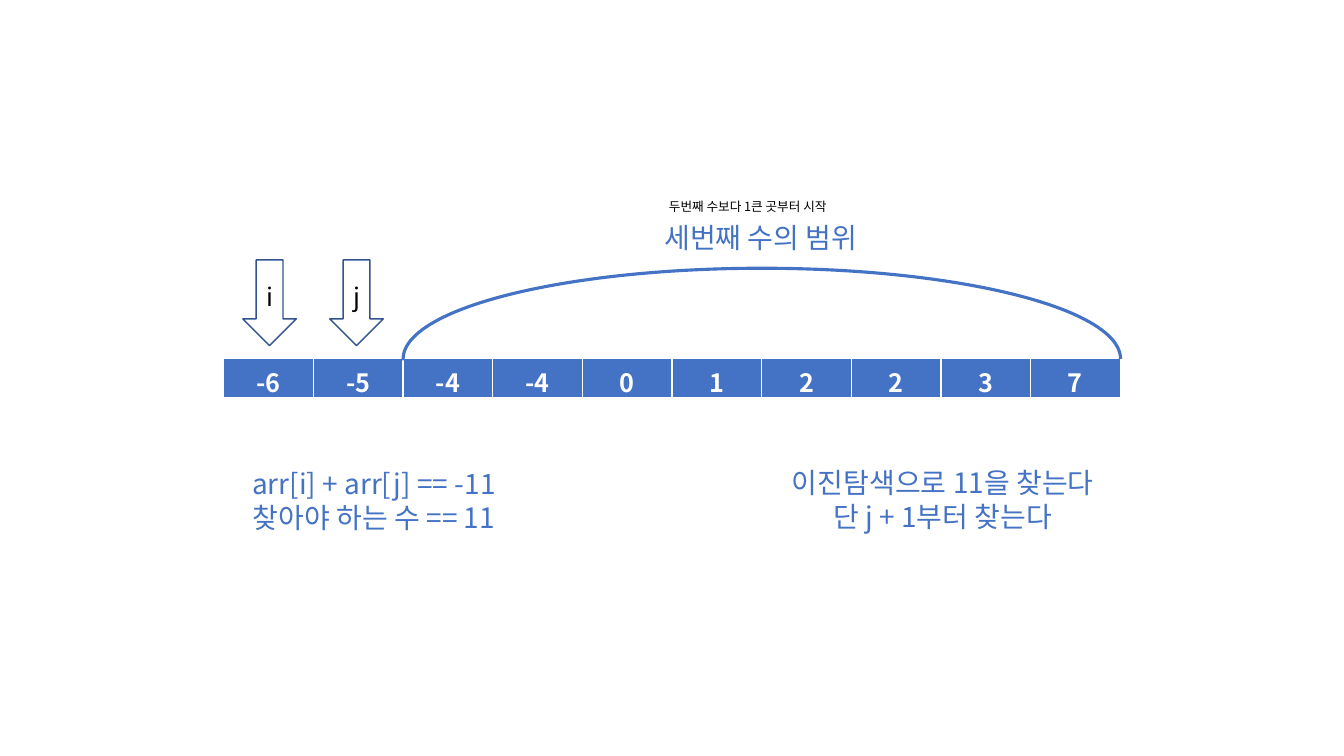
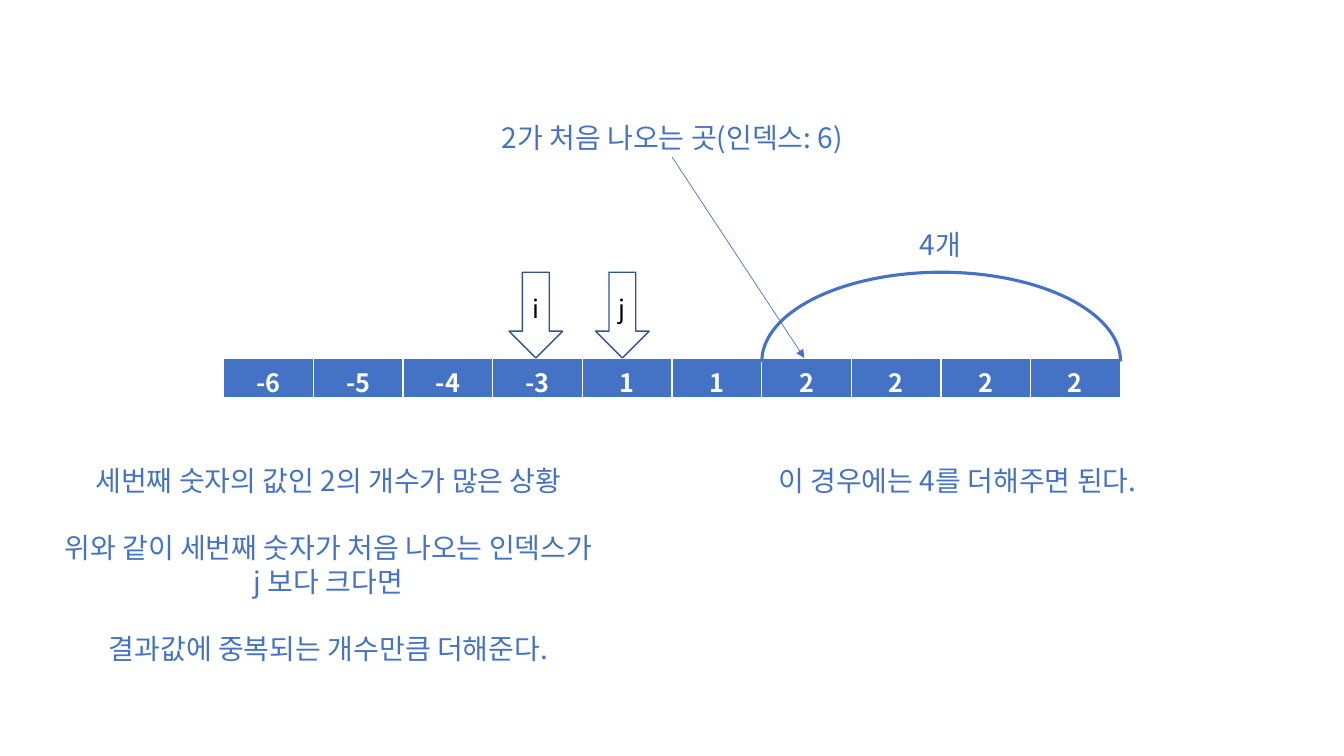
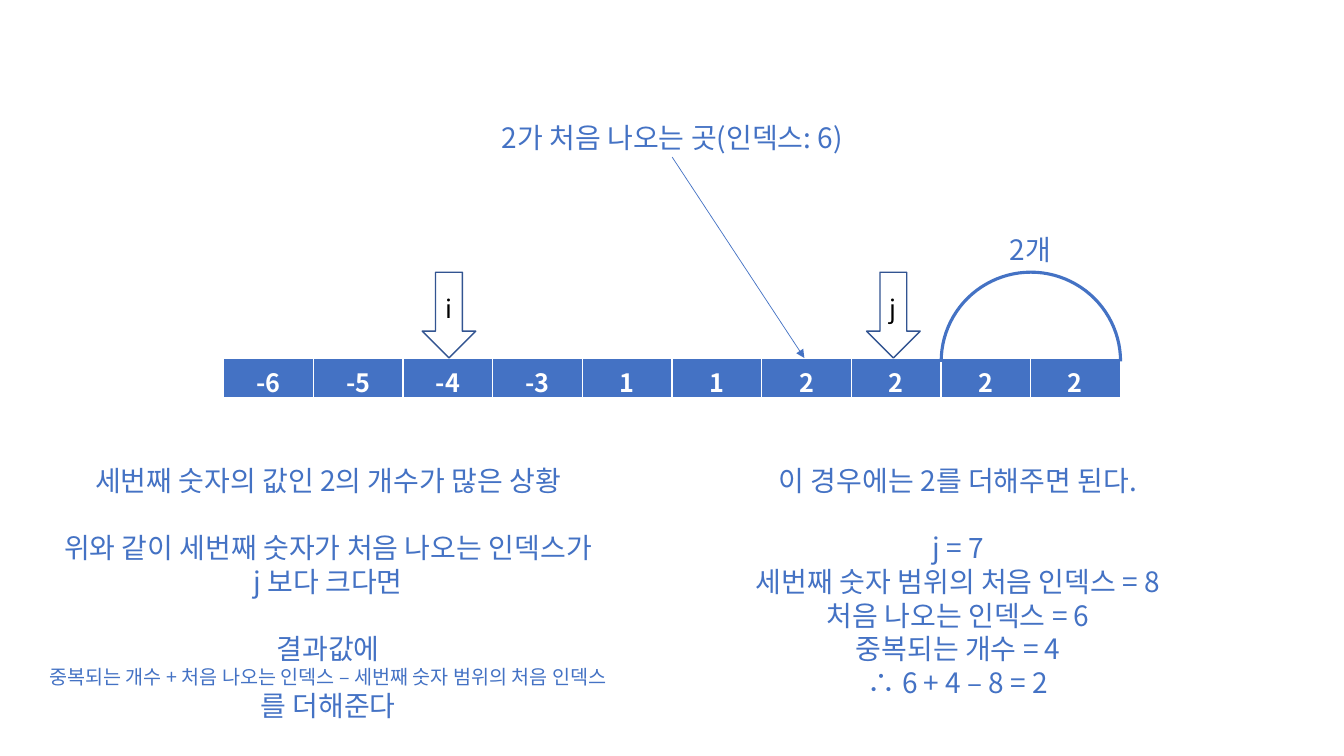
import pptx
import pptx.util
import pptx.dml.color
import pptx.enum.shapes
import pptx.enum.text
import pptx.oxml
import pptx.oxml.ns

Cm, Pt = pptx.util.Cm, pptx.util.Pt
KINDS = pptx.enum.shapes.MSO_SHAPE
CENTER = pptx.enum.text.PP_ALIGN.CENTER

# Shared look, lengths in cm
FONT = "Noto Sans CJK KR"
BLUE, NAVY, WHITE, BLACK = "4472C4", "325491", "FFFFFF", "000000"
LEFT, TOP, CELL, ROW = 5.64, 9.02, 2.26, 1.03
COUNT = 10
RIGHT = LEFT + COUNT * CELL
LOW = 11.56
BODY = {"size": Pt(20), "bold": False}
MARK = {"size": Pt(18), "bold": False}
HEAD = {"size": Pt(18), "bold": True}
NOTE = {"size": Pt(9), "bold": False}
FRAME = {
    "word_wrap": True,
    "auto_size": pptx.enum.text.MSO_AUTO_SIZE.SHAPE_TO_FIT_TEXT,
    "vertical_anchor": pptx.enum.text.MSO_ANCHOR.TOP,
}


def apply(item, style):
    for name, value in style.items():
        setattr(item, name, value)


def color(text):
    return pptx.dml.color.RGBColor.from_string(text)


def add_xml(parent, tag, **attrs):
    node = parent.makeelement(pptx.oxml.ns.qn(tag), attrs)
    parent.append(node)
    return node


def write(para, text, style, ink, align=CENTER):
    para.alignment = align
    run = para.add_run()
    run.text = text
    apply(run.font, {"name": FONT, **style})
    run.font.color.rgb = color(ink)
    add_xml(run.font._element, "a:ea", typeface=FONT)


def place(shape, box):
    apply(shape, dict(zip(("left", "top", "width", "height"), map(Cm, box))))


def add_title(slide, text, box):
    title = slide.shapes.title
    place(title, box)
    apply(title.text_frame, FRAME)
    write(title.text_frame.paragraphs[0], text, BODY, BLUE)


def add_text(slide, box, *blocks, style=BODY, ink=BLUE, align=CENTER):
    """Each block is a list of lines; a line may be (text, size)."""
    frame = slide.shapes.add_textbox(*map(Cm, box)).text_frame
    apply(frame, FRAME)
    para = frame.paragraphs[0]
    for b, block in enumerate(blocks):
        for n, line in enumerate(block):
            if b or n:
                para = frame.add_paragraph()
            if b and not n:
                para.space_before = Pt(24)
            text, size = line if isinstance(line, tuple) else (line, style["size"])
            write(para, text, {**style, "size": size}, ink, align)


def add_array(slide, values):
    box = map(Cm, (LEFT, TOP, COUNT * CELL, ROW))
    table = slide.shapes.add_table(1, COUNT, *box).table
    for col, value in enumerate(values):
        table.columns[col].width = Cm(CELL)
        cell = table.cell(0, col)
        props = cell._tc.get_or_add_tcPr()
        for side, width in zip("LRTB", (1, 1, 1, 3)):
            edge = add_xml(props, f"a:ln{side}", w=str(Pt(width)))
            add_xml(add_xml(edge, "a:solidFill"), "a:srgbClr", val=WHITE)
        cell.fill.solid()
        cell.fill.fore_color.rgb = color(BLUE)
        write(cell.text_frame.paragraphs[0], str(value), HEAD, WHITE)


def add_shape(slide, kind, box, ink, width):
    shape = slide.shapes.add_shape(kind, *map(Cm, box))
    shape.shadow.inherit = False
    shape.fill.background()
    shape.line.color.rgb = color(ink)
    shape.line.width = Pt(width)
    return shape


def add_marks(slide, top, **lefts):
    for name, left in lefts.items():
        arrow = add_shape(slide, KINDS.DOWN_ARROW, (left, top, 1.35, 2.16), NAVY, 1)
        write(arrow.text_frame.paragraphs[0], name, MARK, BLACK)


def add_arc(slide, first, top, height):
    """Span the cells from index first to the end."""
    left = LEFT + first * CELL
    arc = add_shape(slide, KINDS.ARC, (left, top, RIGHT - left, height), BLUE, 2.25)
    arc.adjustments[0] = 107.87
    arc.adjustments[1] = 0


def add_arrow(slide, *ends):
    kind = pptx.enum.shapes.MSO_CONNECTOR.STRAIGHT
    line = slide.shapes.add_connector(kind, *map(Cm, ends))
    line.line.color.rgb = color(BLUE)
    line.line.width = Pt(0.5)
    add_xml(line.line._get_or_add_ln(), "a:tailEnd", type="triangle")
    add_xml(line._element.spPr, "a:effectLst")


def add_slide(deck, values, title, box):
    slide = deck.slides.add_slide(deck.slide_layouts[5])
    add_title(slide, title, box)
    add_array(slide, values)
    return slide


def add_range(deck):
    slide = add_slide(deck, (-6, -5, -4, -4, 0, 1, 2, 2, 3, 7),
                      "세번째 수의 범위", (16.18, 5.44, 5.99, 1.12))
    add_marks(slide, 6.55, i=6.12, j=8.31)
    add_arc(slide, 2, 6.76, 4.57)
    add_text(slide, (5.64, 11.63, 7.57, 1.96),
             ["arr[i] + arr[j] == -11", "찾아야 하는 수 == 11"])
    add_text(slide, (16.61, 4.9, 5.16, 0.64), ["두번째 수보다 1큰 곳부터 시작"],
             style=NOTE, ink=BLACK, align=pptx.enum.text.PP_ALIGN.LEFT)
    add_text(slide, (19.3, 11.61, 8.92, 1.96),
             ["이진탐색으로 11을 찾는다", "단 j + 1부터 찾는다"])


def add_case(deck, marks, first, count, spot, left, result, right, *more):
    """A case of repeated values: result goes left, more goes right."""
    slide = add_slide(deck, (-6, -5, -4, -3, 1, 1, 2, 2, 2, 2),
                      "2가 처음 나오는 곳(인덱스: 6)", (11.94, 2.92, 10.01, 1.12))
    add_marks(slide, 6.86, **marks)
    add_text(slide, left, ["세번째 숫자의 값인 2의 개수가 많은 상황"],
             ["위와 같이 세번째 숫자가 처음 나오는 인덱스가", "j 보다 크다면"], result)
    add_text(slide, right, [f"이 경우에는 {count}를 더해주면 된다."], *more)
    add_arc(slide, first, 6.86, 4.5)
    add_text(slide, (*spot, 1.63, 1.12), [f"{count}개"])
    add_arrow(slide, 16.94, 3.96, 20.27, TOP)


def main():
    deck = pptx.Presentation()
    apply(deck, {"slide_width": Cm(33.87), "slide_height": Cm(19.05)})
    add_range(deck)
    # All four repeats lie after j
    add_case(deck, {"i": 12.83, "j": 15.01}, 6, 4, (22.89, 5.61),
             (0.51, LOW, 15.54, 5.38), ["결과값에 중복되는 개수만큼 더해준다."],
             (18.82, LOW, 10.62, 1.12))
    # Only two repeats lie after j
    add_case(deck, {"i": 10.64, "j": 21.84}, 8, 2, (25.15, 5.74),
             (0.03, LOW, 16.48, 6.83),
             ["결과값에",
              ("중복되는 개수 + 처음 나오는 인덱스 – 세번째 숫자 범위의 처음 인덱스", Pt(14)),
              "를 더해준다"],
             (18.06, LOW, 12.17, 6.25),
             ["j = 7", "세번째 숫자 범위의 처음 인덱스 = 8", "처음 나오는 인덱스 = 6",
              "중복되는 개수 = 4", "∴ 6 + 4 – 8 = 2"])
    deck.save("out.pptx")


main()
